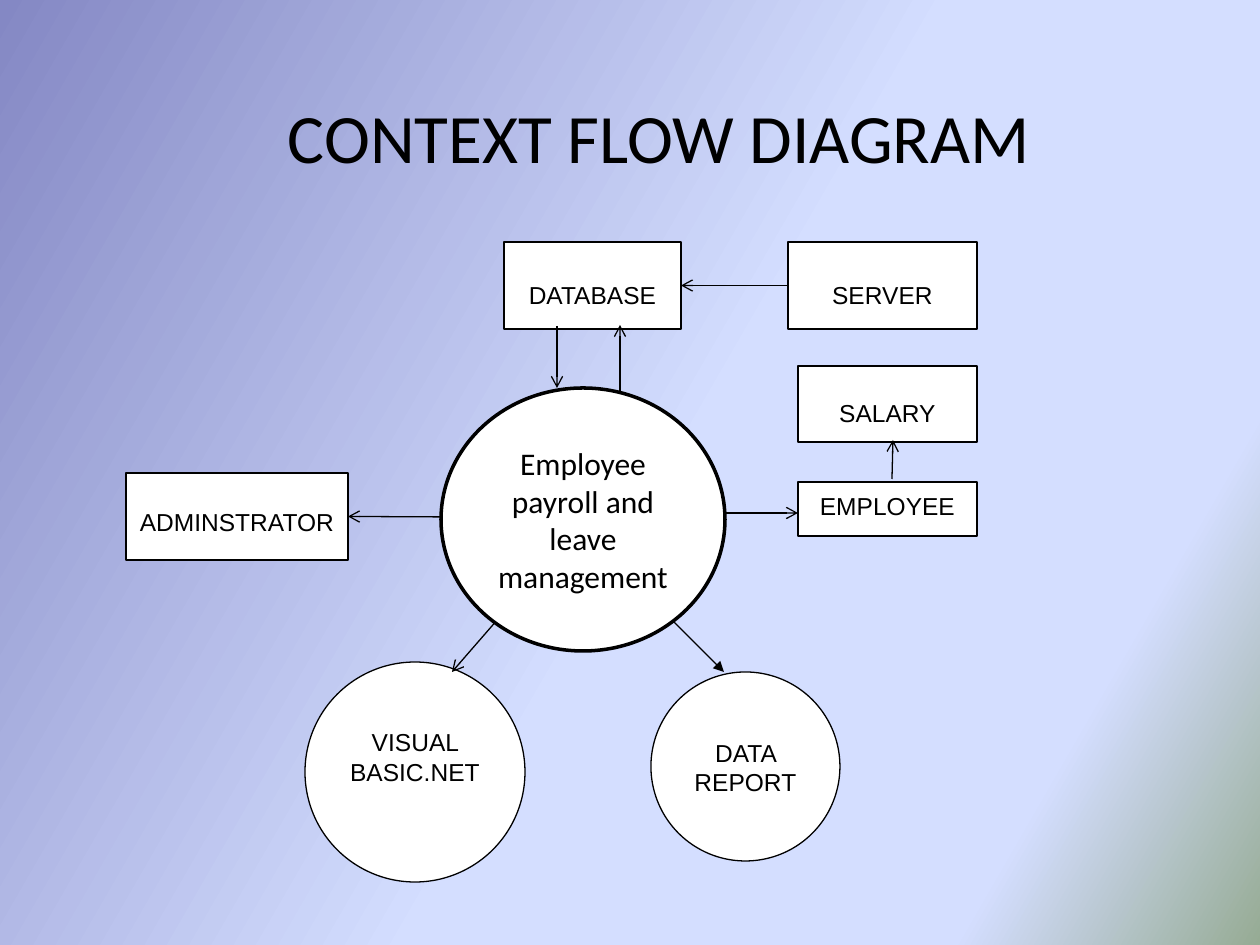
"""Build the context flow diagram slide of a payroll and leave system."""
from dataclasses import dataclass

from lxml import etree
from pptx import Presentation
from pptx.dml.color import RGBColor
from pptx.enum.shapes import MSO_CONNECTOR, MSO_SHAPE
from pptx.enum.text import MSO_ANCHOR, MSO_AUTO_SIZE, PP_ALIGN
from pptx.oxml.ns import qn
from pptx.util import Pt

RECT, OVAL = MSO_SHAPE.RECTANGLE, MSO_SHAPE.OVAL
STRAIGHT = MSO_CONNECTOR.STRAIGHT
TOP, MIDDLE = MSO_ANCHOR.TOP, MSO_ANCHOR.MIDDLE
NO_FIT, CENTER = MSO_AUTO_SIZE.NONE, PP_ALIGN.CENTER
LEFT_SIDE, RIGHT_SIDE = 1, 3
PX = 914400 / 126


@dataclass(frozen=True)
class Theme:
    ink: RGBColor = RGBColor(0, 0, 0)
    paper: RGBColor = RGBColor(255, 255, 255)
    backdrop: tuple = ((0, "8488C4"), (53, "D4DEFF"), (83, "D4DEFF"), (100, "96AB94"))
    label_font: str = "Arial"
    heading_font: str = "Calibri"
    label_size: float = 14
    process_size: float = 18
    title_size: float = 39.6
    thin: float = 0.75
    thick: float = 2


theme = Theme()


def px(*lengths):
    return [round(length * PX) for length in lengths]


def write(holder, wording, font, size, anchor, left, top):
    frame = holder.text_frame
    frame.text = wording
    margins = dict(zip(("margin_left", "margin_top", "margin_right", "margin_bottom"),
                       px(left, top, 6, 6)))
    layout = {"word_wrap": True, "auto_size": NO_FIT, "vertical_anchor": anchor, **margins}
    for name, value in layout.items():
        setattr(frame, name, value)
    paragraph = frame.paragraphs[0]
    paragraph.alignment = CENTER
    for name, value in {"name": font, "size": Pt(size), "bold": False}.items():
        setattr(paragraph.font, name, value)
    paragraph.font.color.rgb = theme.ink


deck = Presentation()
deck.slide_width, deck.slide_height = px(1260, 945)
slide = deck.slides.add_slide(deck.slide_layouts[5])

backdrop = slide.background.fill
backdrop.gradient()
backdrop.gradient_angle = 330
stops = slide.element.find(".//" + qn("a:gsLst"))
for stop in list(stops):
    stops.remove(stop)
for percent, color in theme.backdrop:
    stop = etree.SubElement(stops, qn("a:gs"), pos=str(percent * 1000))
    etree.SubElement(stop, qn("a:srgbClr"), val=color)

title = slide.shapes.title
title.left, title.top, title.width, title.height = px(84, 32, 1134, 116)
write(title, "CONTEXT FLOW DIAGRAM", theme.heading_font, theme.title_size, TOP, 22, 62)

label = (theme.label_font, theme.label_size, TOP)
process = (theme.heading_font, theme.process_size, MIDDLE)
entities = [
    ("DATABASE", RECT, (504, 242, 177, 87), label, 38, theme.thin),
    ("SERVER", RECT, (788, 242, 189, 87), label, 38, theme.thin),
    ("SALARY", RECT, (798, 366, 179, 76), label, 32, theme.thin),
    ("EMPLOYEE", RECT, (798, 482, 179, 54), label, 9, theme.thin),
    ("ADMINSTRATOR", RECT, (126, 473, 222, 87), label, 34, theme.thin),
    ("DATA REPORT", OVAL, (651, 672, 189, 189), label, 38, theme.thin),
    ("VISUAL BASIC.NET", OVAL, (305, 662, 220, 220), label, 33, theme.thin),
    ("Employee payroll and leave management", OVAL, (441, 388, 284, 263),
     process, 6, theme.thick),
]
nodes = {}
for wording, outline, box, style, text_top, weight in entities:
    node = slide.shapes.add_shape(outline, *px(*box))
    node.shadow.inherit = False
    node.fill.solid()
    node.fill.fore_color.rgb = theme.paper
    node.line.color.rgb = theme.ink
    node.line.width = Pt(weight)
    write(node, wording, *style, 6, text_top)
    nodes[wording] = node
hub = node

flows = [
    ((640, 588), (724, 672), "triangle", None, None),
    ((703, 513), (798, 513), "arrow", None, None),
    ((557, 326), (557, 388), "arrow", None, None),
    ((892, 479), (893, 440), "arrow", None, None),
    ((788, 285), (681, 285), "arrow", "SERVER", "DATABASE"),
    ((620, 441), (620, 325), "arrow", None, None),
    ((525, 588), (452, 672), "arrow", None, None),
    ((462, 517), (348, 516), "arrow", None, "ADMINSTRATOR"),
]
for start, end, head, source, target in flows:
    flow = slide.shapes.add_connector(STRAIGHT, *px(*start, *end))
    if source:
        flow.begin_connect(nodes[source], LEFT_SIDE)
    if target:
        flow.end_connect(nodes[target], RIGHT_SIDE)
    flow.line.color.rgb = theme.ink
    flow.line.width = Pt(theme.thin)
    etree.SubElement(flow.line._get_or_add_ln(), qn("a:tailEnd"), type=head)
    etree.SubElement(flow.element.spPr, qn("a:effectLst"))

slide.shapes.element.append(hub.element)
deck.save("out.pptx")
